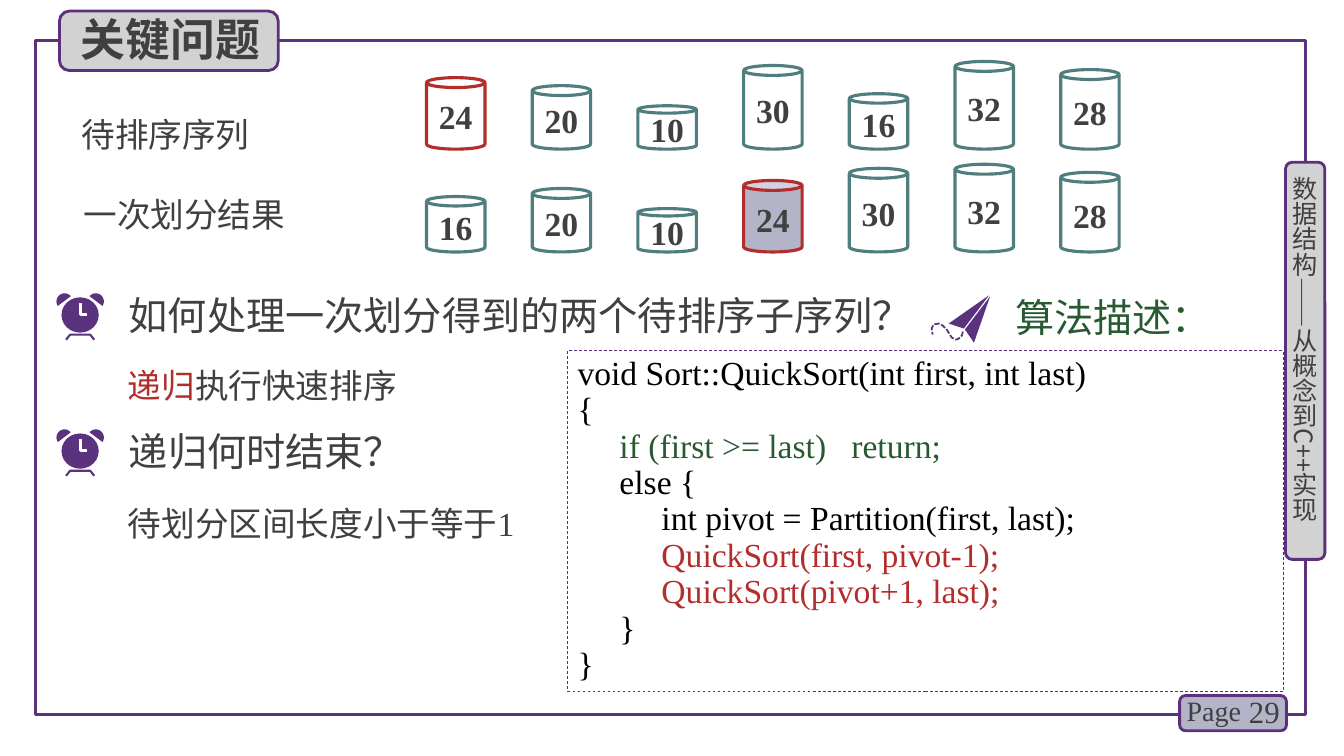
from math import cos, radians, sin

from lxml.etree import SubElement
from pptx import Presentation
from pptx.dml.color import RGBColor
from pptx.enum.dml import MSO_LINE
from pptx.enum.shapes import MSO_SHAPE
from pptx.enum.text import MSO_ANCHOR, MSO_AUTO_SIZE, PP_ALIGN
from pptx.oxml.ns import qn
from pptx.util import Emu, Pt

EMU_PER_PX = 9144  # 100 px to the inch
CHINESE, LATIN = "Noto Sans CJK SC", "Times New Roman"
PURPLE, BORDER, TEAL = "5A327D", "5C307D", "507D7D"
GREY, LAVENDER, WHITE = "D2D2D2", "B4B4C8", "FFFFFF"
INK, BLACK, RED, GREEN = "404040", "000000", "B42D2D", "285A32"

CODE = [
    ("void Sort::QuickSort(int first, int last)", BLACK),
    ("{", BLACK),
    ("     if (first >= last)   return;", GREEN),
    ("     else {", BLACK),
    ("          int pivot = Partition(first, last);", BLACK),
    ("          QuickSort(first, pivot-1);", RED),
    ("          QuickSort(pivot+1, last);", RED),
    ("     }", BLACK),
    ("}", BLACK),
]


def px(length):
    return Emu(round(length * EMU_PER_PX))


def colour(code):
    return RGBColor.from_string(code)


def paint(shape, fill=None, line=None, weight=2.25, dash=None):
    shape.shadow.inherit = False
    if fill:
        shape.fill.solid()
        shape.fill.fore_color.rgb = colour(fill)
    else:
        shape.fill.background()
    if line:
        shape.line.color.rgb = colour(line)
        shape.line.width = Pt(weight)
        if dash:
            shape.line.dash_style = dash
    else:
        shape.line.fill.background()
    return shape


def add_box(page, kind, box, **look):
    return paint(page.shapes.add_shape(kind, *map(px, box)), **look)


def add_outline(page, points, closed=True, **look):
    corners = [(px(x), px(y)) for x, y in points]
    builder = page.shapes.build_freeform(*corners[0])
    builder.add_line_segments(corners[1:], close=closed)
    return paint(builder.convert_to_shape(), **look)


def write(shape, paragraphs, size=24, font=LATIN, bold=False, align=PP_ALIGN.LEFT,
          anchor=MSO_ANCHOR.TOP, wrap=True, spacing=None):
    """Fill a shape with paragraphs, each a list of (text, colour) runs."""
    frame = shape.text_frame
    frame.auto_size = MSO_AUTO_SIZE.NONE
    frame.word_wrap = wrap
    frame.vertical_anchor = anchor
    for index, runs in enumerate(paragraphs):
        para = frame.add_paragraph() if index else frame.paragraphs[0]
        para.alignment = align
        if spacing:
            para.line_spacing = Pt(spacing)
        for text, ink in runs:
            span = para.add_run()
            span.text = text
            span.font.size = Pt(size)
            span.font.bold = bold
            span.font.name = font
            span.font.color.rgb = colour(ink)
            SubElement(span.font._element, qn("a:ea"), typeface=CHINESE)


def add_text(page, box, *runs, **style):
    text_box = page.shapes.add_textbox(*map(px, box))
    write(text_box, [runs], **style)
    return text_box


def add_frame(page, box):
    """Draw the border with its page number and vertical course name."""
    left, top, width, height = box
    right, bottom = left + width, top + height
    add_box(page, MSO_SHAPE.RECTANGLE, box, line=PURPLE)
    add_box(page, MSO_SHAPE.ROUNDED_RECTANGLE, (right - 125, bottom - 19, 106, 35),
            fill=LAVENDER, line=BORDER, weight=2)
    add_text(page, (right - 75, bottom - 23, 59, 40), ("29", INK), size=22,
             align=PP_ALIGN.RIGHT, anchor=MSO_ANCHOR.MIDDLE)
    add_text(page, (right - 128, bottom - 26, 78, 44), ("Page", INK), size=20)
    add_box(page, MSO_SHAPE.ROUNDED_RECTANGLE, (right - 20, top + 121, 39, 394),
            fill=GREY, line=BORDER, weight=2)
    course = add_text(page, (right - 16, top + 135, 30, 378),
                      ("数据结构——从概念到C++实现", INK), size=18, font=CHINESE)
    frame = course.text_frame
    frame.margin_left = frame.margin_right = frame.margin_top = frame.margin_bottom = 0
    frame._txBody.bodyPr.set("vert", "eaVert")


def add_title(page, box):
    left, top, width, height = box
    plate = add_box(page, MSO_SHAPE.ROUNDED_RECTANGLE, box, fill=GREY, line=BORDER, weight=2)
    title = page.shapes.title
    title.left, title.top, title.width, title.height = map(
        px, (left + 11, top - 4, width - 5, height + 5))
    write(title, [[("关键问题", INK)]], size=32, font=CHINESE, bold=True)
    plate._element.addnext(title._element)


def add_sequence(page, box, label, label_box, values, pivot_fill=None):
    """Stand one can per value on the bottom of the box, 24 being the pivot."""
    left, top, width, height = box
    can_width = 58
    step = (width - can_width) / (len(values) - 1)
    for index, value in enumerate(values):
        is_pivot = value == 24
        can_height = 23 + 2 * value
        can = add_box(page, MSO_SHAPE.CAN,
                      (left + index * step, top + height - can_height, can_width, can_height),
                      fill=pivot_fill if is_pivot else None, line=RED if is_pivot else TEAL)
        can.adjustments[0] = 0.17
        write(can, [[(str(value), INK)]], bold=True, align=PP_ALIGN.CENTER,
              anchor=MSO_ANCHOR.MIDDLE, wrap=False)
    add_text(page, label_box, (label, INK), anchor=MSO_ANCHOR.MIDDLE)


def add_clock(page, left, top):
    middle = left + 23.5
    legs = [(-14, 46), (-10, 41), (10, 41), (14, 46)]
    add_outline(page, [(middle + x, top + y) for x, y in legs], closed=False,
                line=PURPLE, weight=1.5)
    arc = [radians(angle) for angle in range(146, 325, 6)]
    for side in (1, -1):
        add_outline(page, [(middle + side * (8 * cos(a) - 15.5), top + 8 + 8 * sin(a))
                           for a in arc], fill=PURPLE)
    add_box(page, MSO_SHAPE.OVAL, (middle - 18.5, top + 4, 37, 35), fill=PURPLE)
    hands = [(0, 10), (0, 21), (7, 21)]
    add_outline(page, [(middle + x, top + y) for x, y in hands], closed=False,
                line=WHITE, weight=2)


def add_question(page, box, question, answer, answer_top, answer_font):
    left, top, width, height = box
    add_text(page, (left + 62, top - 7, width - 62, height), (question, INK),
             size=28, font=CHINESE)
    add_clock(page, left, top)
    add_text(page, (left + 61, answer_top, 411, 50), *answer, font=answer_font, spacing=35)


def add_algorithm_heading(page, box):
    """Draw a paper plane with a dashed trail beside the heading."""
    left, top, width, height = box
    wings = [[(59, 1), (43, 47), (34, 34)], [(58, 0), (33, 33), (18, 28)]]
    for wing in wings:
        add_outline(page, [(left + x, top + y) for x, y in wing], fill=PURPLE)
    trail = [(32, 36), (31, 40), (28, 43), (25, 44), (21, 42), (16, 34),
             (12, 30), (8, 28), (3, 29), (1, 33), (2, 39)]
    add_outline(page, [(left + x, top + y) for x, y in trail], closed=False,
                line=PURPLE, weight=1.25, dash=MSO_LINE.SQUARE_DOT)
    add_text(page, (left + 74, top - 7, width - 74, height), ("算法描述：", GREEN),
             size=28, font=CHINESE, wrap=False)


def add_code(page, box):
    panel = add_box(page, MSO_SHAPE.RECTANGLE, box, line=BORDER, weight=0.5, dash=MSO_LINE.DASH)
    write(panel, [[line] for line in CODE], spacing=26)


def main():
    deck = Presentation()
    deck.slide_width, deck.slide_height = px(1333), px(750)
    page = deck.slides.add_slide(deck.slide_layouts[5])
    add_frame(page, (35, 40, 1260, 669))
    add_title(page, (59, 11, 217, 59))
    add_question(page, (56, 291, 1169, 57), "如何处理一次划分得到的两个待排序子序列？",
                 [("递归", RED), ("执行快速排序", INK)], 348, CHINESE)
    add_code(page, (563, 348, 710, 338))
    add_algorithm_heading(page, (923, 293, 291, 57))
    add_question(page, (56, 426, 367, 57), "递归何时结束？",
                 [("待划分区间长度小于等于1", INK)], 485, LATIN)
    add_sequence(page, (423, 61, 687, 87), "待排序序列", (71, 108, 206, 50),
                 [24, 20, 10, 30, 16, 32, 28])
    add_sequence(page, (423, 163, 687, 87), "一次划分结果", (73, 187, 273, 50),
                 [16, 20, 10, 24, 30, 32, 28], pivot_fill=LAVENDER)
    deck.save("out.pptx")


if __name__ == "__main__":
    main()
